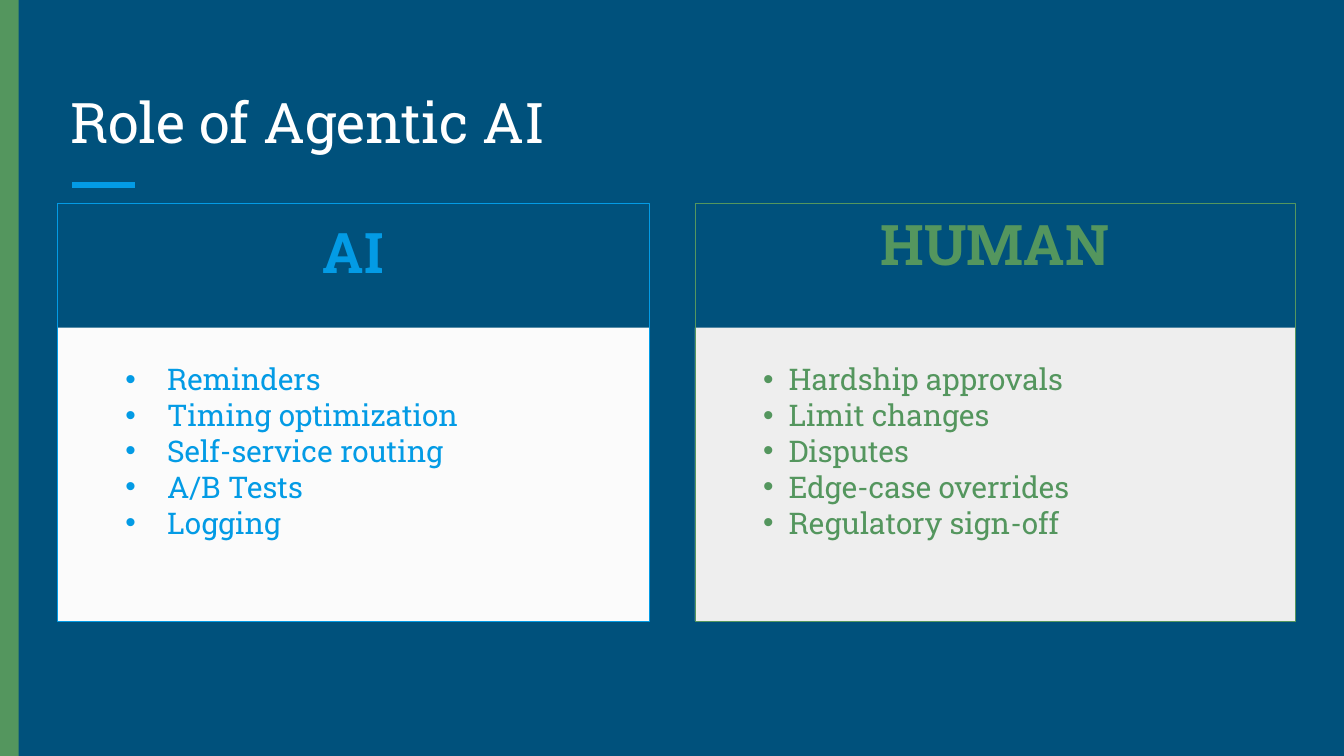
from lxml.etree import SubElement
from pptx import Presentation
from pptx.dml.color import RGBColor as RGB
from pptx.enum.shapes import MSO_CONNECTOR as CONN, MSO_SHAPE as SHAPE
from pptx.enum.text import MSO_ANCHOR as ANCHOR, MSO_AUTO_SIZE as AUTO, PP_ALIGN as ALIGN
from pptx.oxml.ns import qn
from pptx.util import Inches, Pt

W = Inches(10)
H = W * 9 // 16
FONT = "Roboto Slab"
COLORS = {"navy": "00517C", "blue": "039BE5", "green": "54965E",
          "white": "FFFFFF", "pale": "FBFBFB", "grey": "EEEEEE"}
PANEL_TOP, PANEL_SPLIT, PANEL_BOTTOM = 26.88, 43.35, 82.14
PANELS = [
    dict(left=4.25, width=44.05, color="blue", fill="pale", heading="AI",
         heading_top=27.94, indent=0.31,
         items=["Reminders", "Timing optimization", "Self-service routing",
                "A/B Tests", "Logging"]),
    dict(left=51.7, width=44.65, color="green", fill="grey", heading="HUMAN",
         heading_top=PANEL_TOP, indent=0.19,
         items=["Hardship approvals", "Limit changes", "Disputes",
                "Edge-case overrides", "Regulatory sign-off"]),
]


def rgb(name):
    """Look up a named colour."""
    return RGB.from_string(COLORS[name])


def area(left, top, width, height):
    """Turn percentages of the slide into lengths."""
    return [int(size * share / 100)
            for size, share in zip((W, H, W, H), (left, top, width, height))]


def add_rect(slide, box, fill=None, line=None):
    """Add a rectangle with an optional fill and hairline."""
    sp = slide.shapes.add_shape(SHAPE.RECTANGLE, *area(*box))
    sp.shadow.inherit = False
    if fill:
        sp.fill.solid()
        sp.fill.fore_color.rgb = rgb(fill)
    else:
        sp.fill.background()
    if line:
        sp.line.color.rgb = rgb(line)
        sp.line.width = Pt(0.25)
    else:
        sp.line.fill.background()


def add_rule(slide, left, top, width, color):
    """Add the short accent line under the title."""
    x, y, length, _ = area(left, top, width, 0)
    line = slide.shapes.add_connector(CONN.STRAIGHT, x, y, x + length, y)
    line.line.color.rgb = rgb(color)
    line.line.width = Pt(3)
    SubElement(line._element.spPr, qn("a:effectLst"))


def add_bullet(p, indent):
    """Give a paragraph a hanging round bullet."""
    pPr = p._p.get_or_add_pPr()
    pPr.set("marL", str(Inches(indent)))
    pPr.set("indent", str(-Inches(indent)))
    SubElement(pPr, qn("a:buFont"), typeface="Arial")
    SubElement(pPr, qn("a:buChar"), char="•")


def write(tf, lines, size, color, bold=False, align=ALIGN.LEFT, indent=None):
    """Fill a text frame with formatted paragraphs."""
    tf.word_wrap = True
    for i, line in enumerate(lines):
        p = tf.add_paragraph() if i else tf.paragraphs[0]
        p.alignment = align
        if indent:
            add_bullet(p, indent)
        r = p.add_run()
        r.text = line
        r.font.name, r.font.size, r.font.bold = FONT, Pt(size), bold
        r.font.color.rgb = rgb(color)


def add_text(slide, box, lines, **style):
    """Add a text box that grows with its text."""
    tf = slide.shapes.add_textbox(*area(*box)).text_frame
    tf.auto_size = AUTO.SHAPE_TO_FIT_TEXT
    write(tf, lines, **style)


def set_title(slide, text):
    """Place and format the title placeholder."""
    title = slide.shapes.title
    title.left, title.top, title.width, title.height = area(4.25, 8.9, 91.5, 13.35)
    tf = title.text_frame
    tf.auto_size = AUTO.NONE
    tf.vertical_anchor = ANCHOR.BOTTOM
    tf.margin_left = tf.margin_right = tf.margin_top = tf.margin_bottom = Inches(0.1)
    write(tf, [text], size=30, color="white")


def add_panel(slide, left, width, color, fill, heading, heading_top, indent, items):
    """Add a framed panel with a heading and a bulleted list."""
    add_rect(slide, (left, PANEL_SPLIT, width, PANEL_BOTTOM - PANEL_SPLIT), fill=fill)
    add_rect(slide, (left, PANEL_TOP, width, PANEL_BOTTOM - PANEL_TOP), line=color)
    add_text(slide, (left, heading_top, width, 10.85), [heading],
             size=30, color=color, bold=True, align=ALIGN.CENTER)
    add_text(slide, (left + 4.1, 46.9, 32.3, 25.8), items,
             size=16, color=color, indent=indent)


def main():
    """Build and save the slide."""
    prs = Presentation()
    prs.slide_width, prs.slide_height = W, H
    slide = prs.slides.add_slide(prs.slide_layouts[5])
    slide.background.fill.solid()
    slide.background.fill.fore_color.rgb = rgb("navy")
    add_rule(slide, 5.36, 24.47, 4.68, "blue")
    set_title(slide, "Role of Agentic AI")
    add_rect(slide, (0, 0, 1.4, 100), fill="green")
    for panel in PANELS:
        add_panel(slide, **panel)
    prs.save("out.pptx")


if __name__ == "__main__":
    main()
